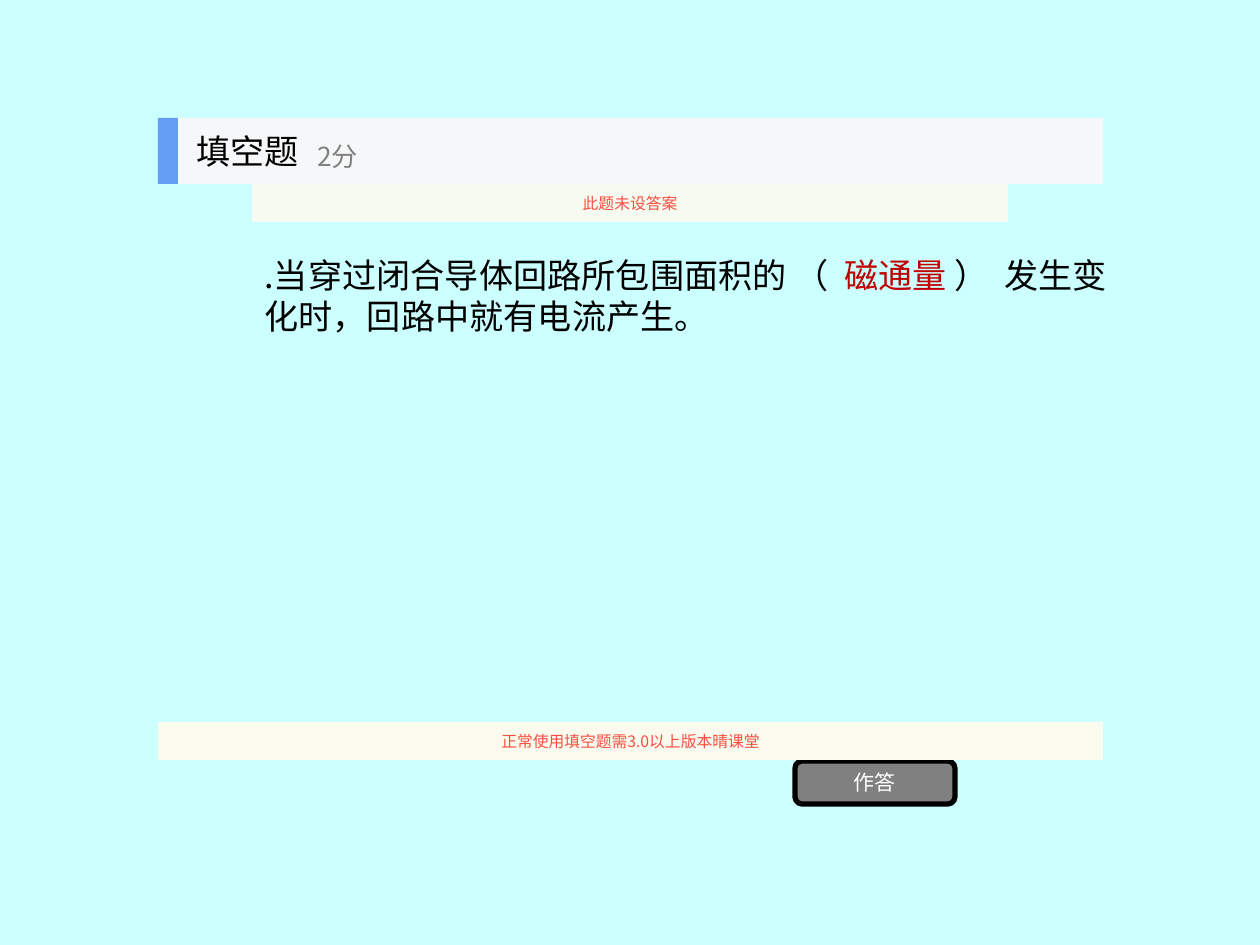
from lxml.etree import SubElement
from pptx import Presentation
from pptx.dml.color import RGBColor
from pptx.enum.shapes import MSO_SHAPE
from pptx.enum.text import MSO_ANCHOR, MSO_AUTO_SIZE, PP_ALIGN
from pptx.oxml.ns import qn
from pptx.util import Emu, Pt

FONT = "Noto Sans CJK SC"
PX = 914400 / 126


def color(value):
    return RGBColor.from_string(value)


def write(box, spans, size, align=PP_ALIGN.LEFT, wrap=True):
    frame = box.text_frame
    frame.auto_size = MSO_AUTO_SIZE.NONE
    frame.word_wrap = wrap
    frame.vertical_anchor = MSO_ANCHOR.MIDDLE
    para = frame.paragraphs[0]
    para.alignment = align
    for text, ink in spans:
        span = para.add_run()
        span.text = text
        span.font.size = Pt(size)
        span.font.color.rgb = color(ink)
        span.font.name = FONT
        SubElement(span.font._element, qn("a:ea"), typeface=FONT)


deck = Presentation()
deck.slide_width, deck.slide_height = Emu(round(1260 * PX)), Emu(round(945 * PX))
page = deck.slides.add_slide(deck.slide_layouts[5])
page.background.fill.solid()
page.background.fill.fore_color.rgb = color("CCFFFF")

# Question
question = page.shapes.add_textbox(*[Emu(round(n * PX)) for n in (252, 184, 888, 222)])
write(question, [(".当穿过闭合导体回路所包围面积的 （  ", "000000"),
                 ("磁通量 ", "C00000"),
                 ("）  发生变化时，回路中就有电流产生。", "000000")], 19.5)

# Answer button, notices, header bar and its accent
blocks = [
    (MSO_SHAPE.ROUNDED_RECTANGLE, (795, 761, 160, 43), "808080", "作答", 12, "FFFFFF"),
    (MSO_SHAPE.RECTANGLE, (158, 722, 945, 38), "FBFAEF",
     "正常使用填空题需3.0以上版本晴课堂", 9, "F84F41"),
    (MSO_SHAPE.RECTANGLE, (252, 184, 756, 38), "FBFAEF", "此题未设答案", 9, "F84F41"),
    (MSO_SHAPE.RECTANGLE, (158, 118, 945, 66), "F6F7F8", "", 9, "000000"),
    (MSO_SHAPE.RECTANGLE, (158, 118, 20, 66), "639EF4", "", 9, "000000"),
]
shapes = []
for kind, place, fill, text, size, ink in blocks:
    block = page.shapes.add_shape(kind, *[Emu(round(n * PX)) for n in place])
    block.shadow.inherit = False
    block.fill.solid()
    block.fill.fore_color.rgb = color(fill)
    block.line.fill.background()
    if text:
        write(block, [(text, ink)], size, PP_ALIGN.CENTER, wrap=False)
    shapes.append(block)

# Button outline and slightly transparent upper notice
button, _, notice = shapes[:3]
button.line.color.rgb = color("000000")
button.line.width = Pt(3)
tint = notice.fill._xPr.find(qn("a:solidFill"))[0]
SubElement(tint, qn("a:alpha"), val="90000")

# Title, raised above the header bar
title = page.shapes.title
title.left, title.top, title.width, title.height = [
    Emu(round(n * PX)) for n in (184, 118, 197, 66)]
write(title, [("填空题", "000000")], 19.5)
title.element.getparent().append(title.element)

# Points
points = page.shapes.add_textbox(*[Emu(round(n * PX)) for n in (305, 130, 237, 53)])
write(points, [("2分", "808080")], 15)

deck.save("out.pptx")
